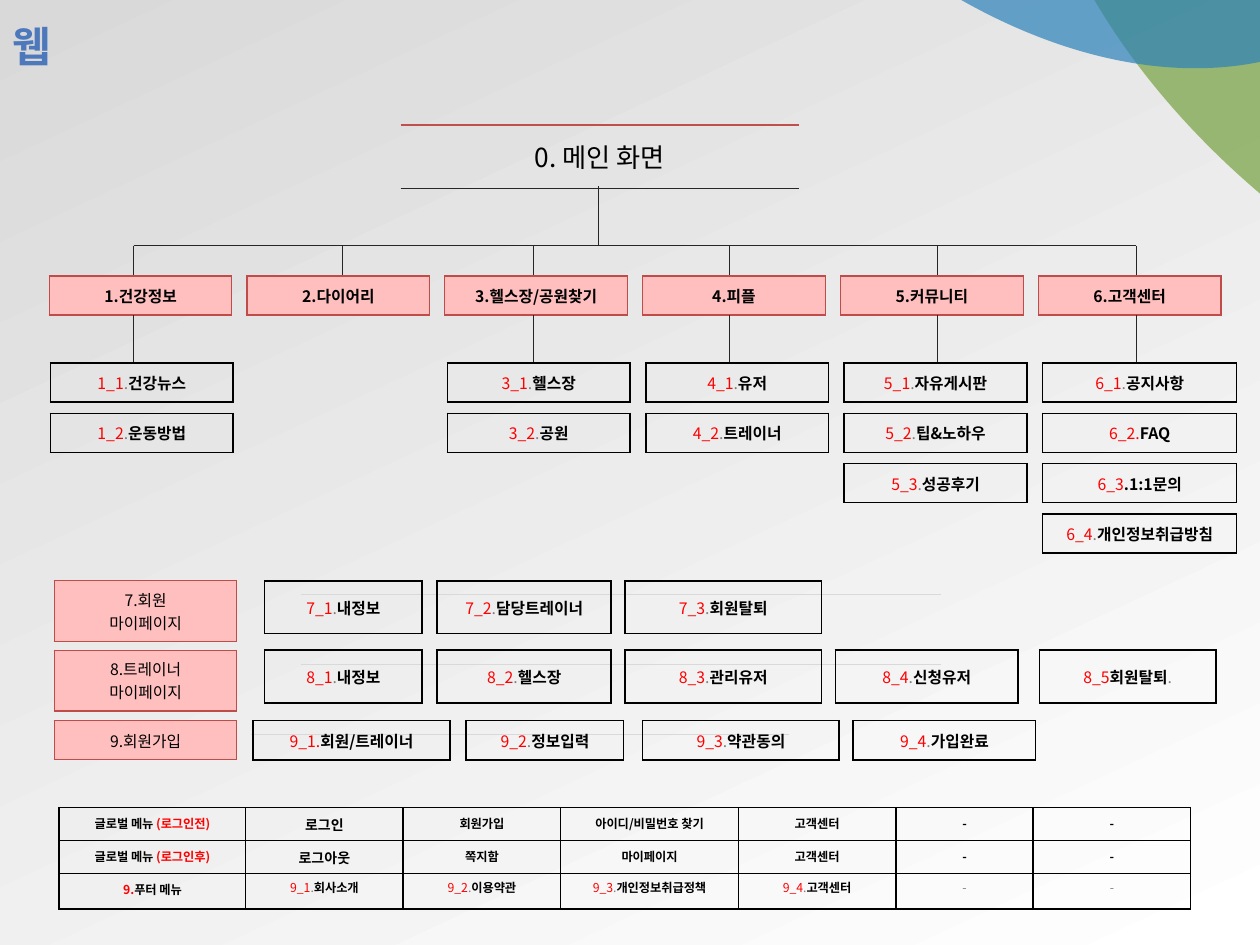
from dataclasses import dataclass
from lxml.etree import SubElement
from pptx import Presentation
from pptx.dml.color import RGBColor
from pptx.enum.shapes import MSO_CONNECTOR, MSO_SHAPE
from pptx.enum.text import MSO_ANCHOR, PP_ALIGN
from pptx.oxml.ns import qn
from pptx.util import Inches, Pt


@dataclass(frozen=True)
class Theme:
    font: str = "Noto Sans CJK KR"
    head: str = "Arial"
    black: str = "000000"
    red: str = "FF0000"
    grey: str = "808080"
    pink: str = "FFBFBF"
    edge: str = "BF4C48"
    rule: str = "C0504D"
    wire: str = "262626"
    faint: str = "D9D9D9"
    title: str = "4D79BC"
    green: str = "75A13F"
    blue: str = "2B81B9"
    white: str = "FFFFFF"
    big: int = 24
    main: int = 15
    body: int = 9
    mid: int = 8
    small: int = 7


T = Theme()

# Run styles (colour, bold), one for each part of a text split at "|"
BOLD = [(T.black, True)]
PLAIN = [(T.black, False)]
DASH = [(T.grey, False)]
ITEM = [(T.red, False), (T.grey, False), (T.black, True), (T.grey, False)]
LOGIN = [(T.black, True), (T.red, True)]
FOOT = [(T.red, True), (T.black, True)]

# Borders (colour, points) for left, right, top, bottom
BLACK = [(T.black, 1)] * 4
EDGE = [(T.edge, 0.75)] * 4
RULES = [None, None, (T.rule, 1), (T.wire, 0.5)]

BOX_W, BOX_H = 1.45, 0.31
HEAD_X, HEAD_Y, HEAD_STEP = 0.39, 2.19, 1.57
SUB_X, SUB_Y, SUB_STEP, SUB_ROW = 0.4, 2.88, 1.575, 0.4

MENU = [
    ("1.건강정보", ["1_1|.|건강뉴스", "1_2|.|운동방법"]),
    ("2.다이어리", []),
    ("3.헬스장/공원찾기", ["3_1|.|헬스장", "3_2|.|공원"]),
    ("4.피플", ["4_1|.|유저", "4_2|.|트레이너"]),
    ("5.커뮤니티", ["5_1|.|자유게시판", "5_2|.|팁&노하우", "5_3|.|성공후기"]),
    ("6.고객센터", ["6_1|.|공지사항", "6_2.||FAQ", "6_3||.1:1문의",
                "6_4|.|개인정보취급방침"]),
]
STEMS = [1.06, 2.72, 4.23, 5.79, 7.44, 9.02]

# Member rows: label, top, label height, box height, boxes (left, width, text)
MEMBER = [
    ("7.회원\n마이페이지", 4.61, 0.48, 0.42,
     [(2.1, 1.25, "7_1|.|내정보"), (3.47, 1.38, "7_2|.|담당트레이너"),
      (4.96, 1.56, "7_3|.|회원탈퇴")]),
    ("8.트레이너\n마이페이지", 5.16, 0.48, 0.42,
     [(2.1, 1.25, "8_1|.|내정보"), (3.47, 1.38, "8_2|.|헬스장"),
      (4.96, 1.56, "8_3|.|관리유저"), (6.63, 1.45, "8_4|.|신청유저"),
      (8.25, 1.4, "8_5||회원탈퇴|.")]),
    ("9.회원가입", 5.72, BOX_H, BOX_H,
     [(2.01, 1.56, "9_1.||회원/트레이너"), (3.7, 1.25, "9_2|.|정보입력"),
      (5.1, 1.56, "9_3|.|약관동의"), (6.77, 1.45, "9_4|.|가입완료")]),
]

GLOBAL = [
    ["글로벌 메뉴 |(로그인전)", "로그인", "회원가입", "아이디/비밀번호 찾기", "고객센터", "-", "-"],
    ["글로벌 메뉴 |(로그인후)", "로그아웃", "쪽지함", "마이페이지", "고객센터", "-", "-"],
    ["9.|푸터 메뉴", "9_1|.|회사소개", "9_2|.|이용약관", "9_3|.|개인정보취급정책",
     "9_4|.|고객센터", "-", "-"],
]


def paint(fill, color):
    fill.solid()
    fill.fore_color.rgb = RGBColor.from_string(color)


def style(run, size, color, bold, font=T.font):
    run.font.name, run.font.size, run.font.bold = font, Pt(size), bold
    run.font.color.rgb = RGBColor.from_string(color)
    SubElement(run.font._element, qn("a:ea"), typeface=font)


def border(cell, sides):
    props = cell._tc.get_or_add_tcPr()
    for tag, side in zip(("lnL", "lnR", "lnT", "lnB"), sides):
        color, width = side or (None, 0)
        line = SubElement(props, qn(f"a:{tag}"), w=str(Pt(width)))
        if color:
            fill = SubElement(line, qn("a:solidFill"))
            SubElement(fill, qn("a:srgbClr"), val=color)
        else:
            SubElement(line, qn("a:noFill"))


def write(cell, text, styles, size, pad, space=None):
    """Fill a cell: lines split at newlines, runs split at bars."""
    cell.margin_left = cell.margin_right = Inches(pad[0])
    cell.margin_top = cell.margin_bottom = Inches(pad[1])
    frame = cell.text_frame
    for i, row in enumerate(text.split("\n")):
        para = frame.add_paragraph() if i else frame.paragraphs[0]
        para.alignment = PP_ALIGN.CENTER
        para.line_spacing = space
        for part, (color, bold) in zip(row.split("|"), styles):
            if part:
                run = para.add_run()
                run.text = part
                style(run, size, color, bold)


def grid(slide, x, y, cols, rows, sides, fill=None):
    frame = slide.shapes.add_table(len(rows), len(cols), Inches(x), Inches(y),
                                   Inches(sum(cols)), Inches(sum(rows)))
    table = frame.table
    table.first_row = table.horz_banding = False
    for col, width in zip(table.columns, cols):
        col.width = Inches(width)
    for row, height in zip(table.rows, rows):
        row.height = Inches(height)
    for cell in table.iter_cells():
        border(cell, sides)
        if fill:
            paint(cell.fill, fill)
        else:
            cell.fill.background()
    return table


def box(slide, x, y, w, h, text, styles=ITEM, sides=BLACK, fill=None,
        size=T.body, pad=(0.12, 0.06)):
    cell = grid(slide, x, y, [w], [h], sides, fill).cell(0, 0)
    cell.vertical_anchor = MSO_ANCHOR.MIDDLE
    write(cell, text, styles, size, pad)


def wire(slide, x1, y1, x2, y2, color=T.wire):
    line = slide.shapes.add_connector(
        MSO_CONNECTOR.STRAIGHT, *map(Inches, (x1, y1, x2, y2)))
    line.line.width = Pt(0.25)
    line.line.color.rgb = RGBColor.from_string(color)
    SubElement(line._element.spPr, qn("a:effectLst"))


def oval(slide, x, y, w, h, turn, color):
    shape = slide.shapes.add_shape(MSO_SHAPE.OVAL, *map(Inches, (x, y, w, h)))
    shape.rotation = turn
    shape.shadow.inherit = False
    shape.line.fill.background()
    paint(shape.fill, color)
    tint = shape._element.spPr.find(".//" + qn("a:srgbClr"))
    SubElement(tint, qn("a:alpha"), val="70000")


def backdrop(slide):
    fill = slide.background.fill
    fill.gradient()
    fill.gradient_angle = 360 - 65
    for stop, color in zip(fill.gradient_stops, (T.faint, T.white)):
        stop.color.rgb = RGBColor.from_string(color)
    oval(slide, 7.67, -2.64, 8.33, 4.95, 36.6, T.green)
    oval(slide, 5.28, -7.65, 5.86, 8.66, 142.1, T.blue)


def heading(slide, text):
    title = slide.shapes.title
    title.left, title.top, title.width, title.height = map(
        Inches, (0, 0.01, 9.29, 0.71))
    frame = title.text_frame
    frame.text = text
    frame.vertical_anchor = MSO_ANCHOR.MIDDLE
    frame.paragraphs[0].alignment = PP_ALIGN.LEFT
    style(frame.paragraphs[0].runs[0], T.big, T.title, True, T.head)


def tree(slide):
    # Main screen and the trunk below it
    box(slide, 3.18, 0.99, 3.16, 0.49, "0. 메인 화면", PLAIN, RULES,
        size=T.main, pad=(0.19, 0.1))
    wire(slide, 4.75, 1.48, 4.75, 1.95)
    wire(slide, STEMS[0], 1.95, STEMS[-1], 1.95)
    # One branch per menu
    for i, ((name, subs), stem) in enumerate(zip(MENU, STEMS)):
        wire(slide, stem, 1.95, stem, HEAD_Y)
        box(slide, HEAD_X + i * HEAD_STEP, HEAD_Y, BOX_W, BOX_H, name,
            BOLD, EDGE, T.pink)
        if subs:
            wire(slide, stem, HEAD_Y + BOX_H, stem, SUB_Y)
        width = 1.54 if i == len(MENU) - 1 else BOX_W
        for j, sub in enumerate(subs):
            box(slide, SUB_X + i * SUB_STEP, SUB_Y + j * SUB_ROW,
                width, BOX_H, sub)


def members(slide):
    for x1, x2, y in ((2.39, 7.47, 4.72), (2.39, 7.47, 5.27),
                      (1.99, 6.26, 5.83)):
        wire(slide, x2, y, x1, y, T.faint)
    for name, y, tall, high, items in MEMBER:
        box(slide, 0.43, y, BOX_W, tall, name, PLAIN, EDGE, T.pink)
        for x, width, text in items:
            box(slide, x, y, width, high, text)


def footer(slide):
    cols = [1.48, 1.25, 1.25, 1.41, 1.25, 1.09, 1.25]
    table = grid(slide, 0.47, 6.41, cols, [0.25, 0.25, 0.28], BLACK)
    for r, row in enumerate(GLOBAL):
        last = r == 2
        for c, text in enumerate(row):
            if c == 0:
                styles = FOOT if last else LOGIN
            elif last:
                styles = DASH if text == "-" else ITEM
            else:
                styles = BOLD
            size = T.mid if c == 1 and not last else T.small
            write(table.cell(r, c), text, styles, size, (0.09, 0.05),
                  0.9 if last and c else None)


def main():
    deck = Presentation()
    deck.slide_width, deck.slide_height = Inches(10), Inches(7.5)
    slide = deck.slides.add_slide(deck.slide_layouts[5])
    backdrop(slide)
    heading(slide, "웹")
    tree(slide)
    members(slide)
    footer(slide)
    deck.save("out.pptx")


if __name__ == "__main__":
    main()
